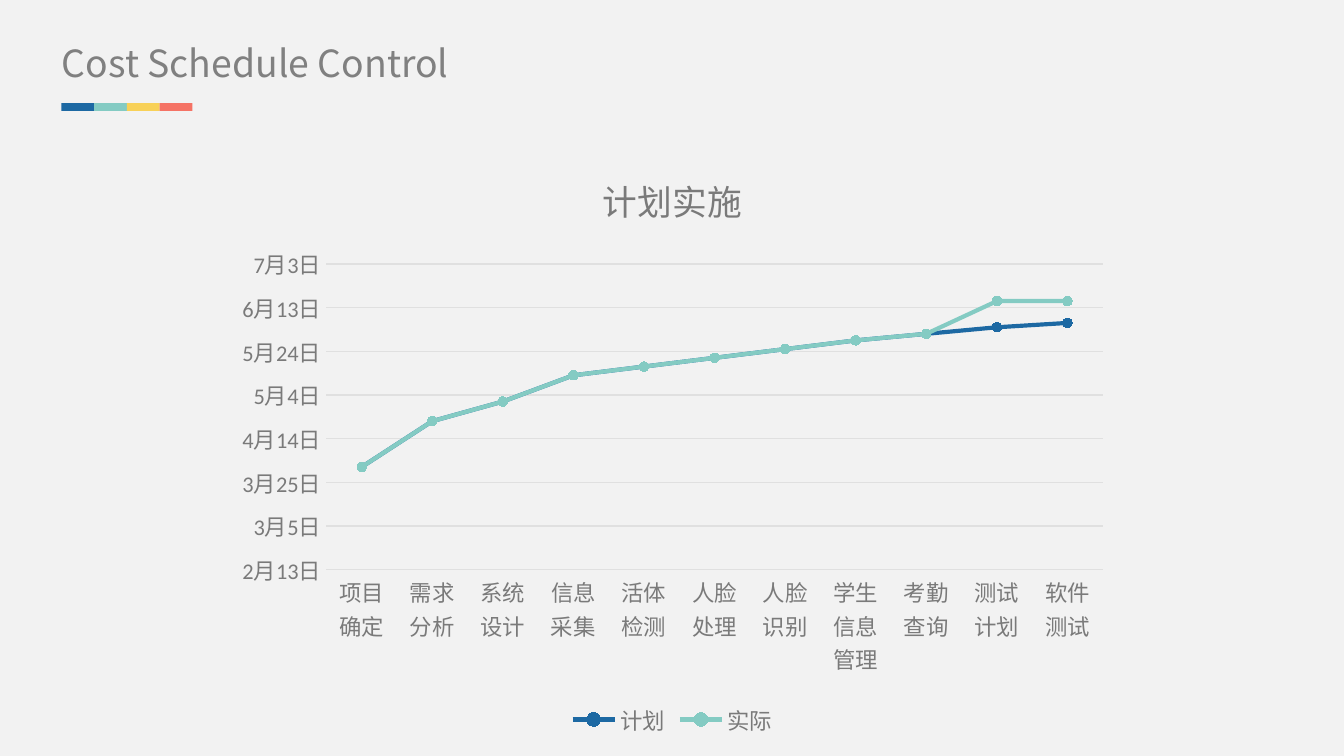
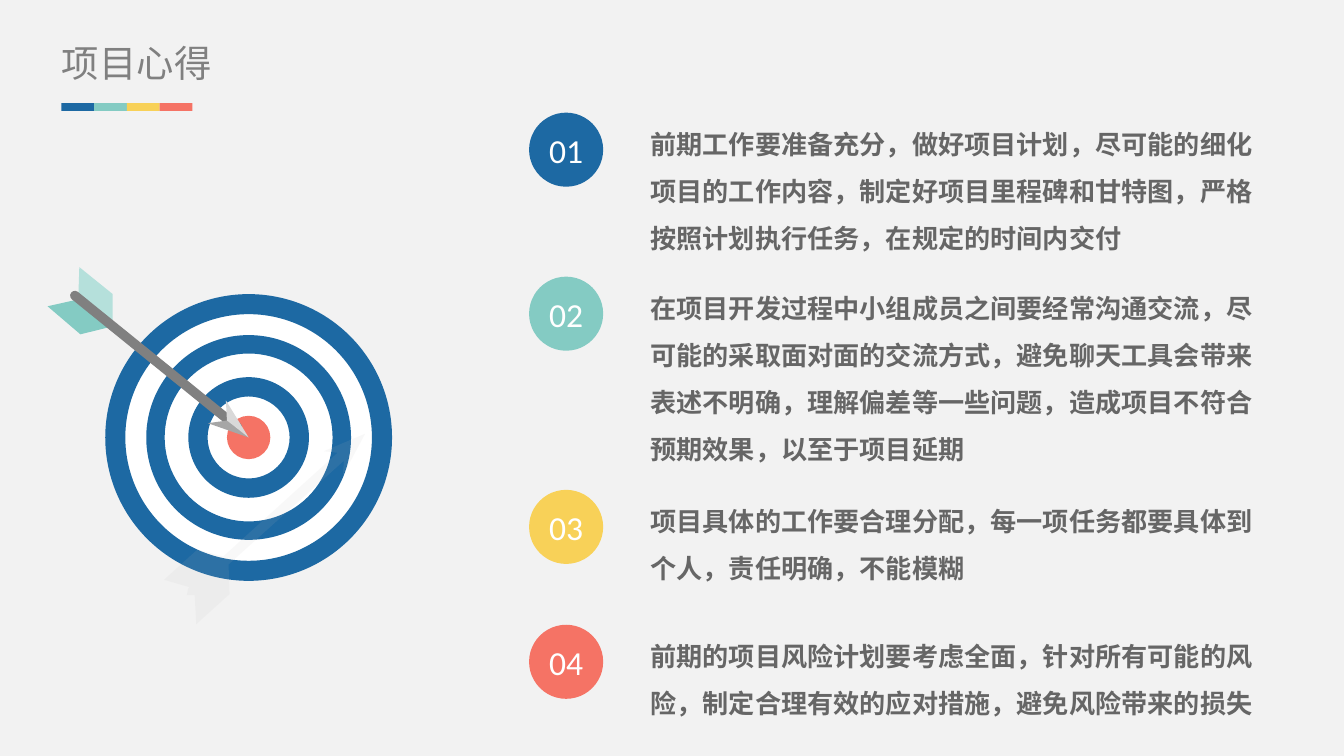
from dataclasses import dataclass

from lxml.etree import SubElement
from pptx import Presentation
from pptx.chart.data import CategoryChartData
from pptx.dml.color import RGBColor
from pptx.enum.chart import XL_CHART_TYPE as CT
from pptx.enum.chart import XL_LEGEND_POSITION as LP
from pptx.enum.chart import XL_MARKER_STYLE as MS
from pptx.enum.chart import XL_TICK_MARK as TM
from pptx.enum.shapes import MSO_SHAPE as SH
from pptx.enum.text import MSO_ANCHOR as MA
from pptx.enum.text import MSO_AUTO_SIZE as AS
from pptx.enum.text import PP_ALIGN as PA
from pptx.oxml.ns import qn
from pptx.util import Cm, Pt


@dataclass(frozen=True)
class Theme:
    accents: tuple = ("1D69A3", "84CBC3", "F8D158", "F57365")
    back: str = "F2F2F2"
    white: str = "FFFFFF"
    title: str = "808080"
    body: str = "666666"
    chart_text: str = "7A7A7A"
    grid: str = "E0E0E0"
    pale_feather: str = "B5E0DB"
    head_dark: str = "A6A6A6"
    head_light: str = "D9D9D9"
    shade: str = "BFBFBF"
    latin: str = "Calibri"
    cjk: str = "Noto Sans CJK SC"
    title_size: float = 20
    number_size: float = 18
    body_size: float = 14
    chart_title_size: float = 18.6
    chart_size: float = 12


T = Theme()

PLAN = {
    "项目确定": 44287, "需求分析": 44308, "系统设计": 44317,
    "信息采集": 44329, "活体检测": 44333, "人脸处理": 44337,
    "人脸识别": 44341, "学生信息管理": 44345, "考勤查询": 44348,
    "测试计划": 44351, "软件测试": 44353,
}
ACTUAL = {**PLAN, "测试计划": 44363, "软件测试": 44363}
DATE_FORMAT = 'm"月"d"日";@'

LESSONS = (
    (2.13, 2.59, "前期工作要准备充分，做好项目计划，尽可能的细化项目的工作内容，"
     "制定好项目里程碑和甘特图，严格按照计划执行任务，在规定的时间内交付"),
    (5.23, 3.48, "在项目开发过程中小组成员之间要经常沟通交流，尽可能的采取面对面的交流方式，"
     "避免聊天工具会带来表述不明确，理解偏差等一些问题，造成项目不符合预期效果，以至于项目延期"),
    (9.26, 1.7, "项目具体的工作要合理分配，每一项任务都要具体到个人，责任明确，不能模糊"),
    (11.81, 1.7, "前期的项目风险计划要考虑全面，针对所有可能的风险，"
     "制定合理有效的应对措施，避免风险带来的损失"),
)

CENTRE = (4.7, 8.27)
RINGS = ((5.42, 0.07), (3.87, 0.09), (2.28, 0.16))
ARROW_PARTS = (
    (T.accents[1], ((2.13, 6.17), (1.52, 6.32), (0.9, 5.79), (1.48, 5.66))),
    (T.pale_feather, ((2.13, 6.17), (2.13, 5.56), (1.5, 5.05), (1.48, 5.66))),
    (T.head_dark, ((3.93, 8), CENTRE, (4.29, 7.95))),
    (T.head_light, ((4.29, 7.95), CENTRE, (4.27, 7.57))),
)
ARROW_SHADE = (
    (6.9, 8.2), (6.48, 8.99), (6.5, 8.71), (4.32, 10.67), (4.34, 11.23),
    (3.71, 11.8), (3.68, 11.25), (3.53, 11.25), (3.56, 11.12), (3.58, 11.1),
    (3.1, 10.96), (3.73, 10.39), (4.22, 10.52), (6.38, 8.56), (6.12, 8.53),
)


def rgb(value):
    return RGBColor.from_string(value)


def apply(target, values):
    for name, value in values.items():
        setattr(target, name, value)


def set_font(font, size, color, name=T.latin, bold=False):
    font.color.rgb = rgb(color)
    apply(font, {"size": Pt(size), "name": name, "bold": bold})


def write(tf, text, size, color, name=T.latin, bold=False, align=PA.LEFT, anchor=MA.TOP):
    apply(tf, {"margin_left": 0, "margin_right": 0, "margin_top": 0, "margin_bottom": 0,
               "word_wrap": True, "auto_size": AS.NONE, "vertical_anchor": anchor})
    p = tf.paragraphs[0]
    p.alignment = align
    r = p.add_run()
    r.text = text
    set_font(r.font, size, color, name, bold)
    SubElement(r._r.get_or_add_rPr(), qn("a:ea"), typeface=T.cjk)
    return p


def place(sp, left, top, width, height):
    apply(sp, {"left": Cm(left), "top": Cm(top), "width": Cm(width), "height": Cm(height)})


def paint(sp, color):
    sp.shadow.inherit = False
    sp.fill.solid()
    sp.fill.fore_color.rgb = rgb(color)
    sp.line.fill.background()
    return sp


def add_preset(shapes, kind, left, top, width, height, color):
    return paint(shapes.add_shape(kind, Cm(left), Cm(top), Cm(width), Cm(height)), color)


def add_centred(shapes, kind, centre, width, height, color):
    x, y = centre
    return add_preset(shapes, kind, x - width / 2, y - height / 2, width, height, color)


def add_polygon(shapes, points, color):
    corners = [(Cm(x), Cm(y)) for x, y in points]
    builder = shapes.build_freeform(*corners[0])
    builder.add_line_segments(corners[1:], close=True)
    return paint(builder.convert_to_shape(), color)


def add_slide(prs, layout, title):
    s = prs.slides.add_slide(prs.slide_layouts.get_by_name(layout))
    place(s.shapes.title, 1.17, 0.76, 7.72, 0.86)
    write(s.shapes.title.text_frame, title, T.title_size, T.title, T.cjk)
    band = s.shapes.add_group_shape().shapes
    for i, color in enumerate(T.accents):
        add_preset(band, SH.RECTANGLE, 1.16 + 0.62 * i, 1.95, 0.62, 0.15, color)
    return s


def format_line(line, color, width):
    line.color.rgb = rgb(color)
    line.width = Pt(width)


def add_schedule_chart(s):
    data = CategoryChartData(number_format=DATE_FORMAT)
    data.categories = list(PLAN)
    data.add_series("计划", PLAN.values())
    data.add_series("实际", ACTUAL.values())
    chart = s.shapes.add_chart(CT.LINE_MARKERS, Cm(4.24), Cm(2.74), Cm(16.94), Cm(11.28),
                               data).chart
    set_font(chart.font, T.chart_size, T.chart_text)

    chart.has_title = True
    r = chart.chart_title.text_frame.paragraphs[0].add_run()
    r.text = "计划实施"
    set_font(r.font, T.chart_title_size, T.chart_text)

    chart.has_legend = True
    apply(chart.legend, {"position": LP.BOTTOM, "include_in_layout": False})
    set_font(chart.legend.font, T.chart_size, T.chart_text)

    for axis in (chart.category_axis, chart.value_axis):
        apply(axis, {"major_tick_mark": TM.NONE, "minor_tick_mark": TM.NONE})
        set_font(axis.tick_labels.font, T.chart_size, T.chart_text)
    format_line(chart.category_axis.format.line, T.grid, 0.75)
    dates = chart.value_axis
    apply(dates, {"minimum_scale": 44240, "maximum_scale": 44380, "major_unit": 20})
    apply(dates.tick_labels, {"number_format": DATE_FORMAT, "number_format_is_linked": False})
    dates.format.line.fill.background()
    format_line(dates.major_gridlines.format.line, T.grid, 0.75)

    plot = chart.plots[0]
    plot.vary_by_categories = False
    for series, color in zip(plot.series, T.accents):
        series.smooth = False
        format_line(series.format.line, color, 2.25)
        marker = series.marker
        apply(marker, {"style": MS.CIRCLE, "size": 5})
        marker.format.fill.solid()
        marker.format.fill.fore_color.rgb = rgb(color)
        format_line(marker.format.line, color, 0.75)


def add_target(s):
    board = s.shapes.add_group_shape().shapes
    add_centred(board, SH.OVAL, CENTRE, 5.36, 5.36, T.white)
    add_centred(board, SH.OVAL, CENTRE, 0.82, 0.82, T.accents[3])
    for size, thickness in RINGS:
        ring = add_centred(board, SH.DONUT, CENTRE, size, size, T.accents[0])
        ring.adjustments[0] = thickness


def add_arrow(s):
    arrow = s.shapes.add_group_shape().shapes
    for color, points in ARROW_PARTS[:2]:
        add_polygon(arrow, points, color)
    shaft = add_centred(arrow, SH.ROUNDED_RECTANGLE, (2.95, 6.83), 4.13, 0.18, T.title)
    shaft.adjustments[0] = 0.5
    shaft.rotation = 39
    for color, points in ARROW_PARTS[2:]:
        add_polygon(arrow, points, color)
    shade = add_polygon(s.shapes, ARROW_SHADE, T.shade)
    tint = shade.fill._xPr.find(qn("a:solidFill"))[0]
    SubElement(tint, qn("a:alpha"), val="10000")


def add_lesson(s, body, number, color, top, height, text):
    place(body, 12.29, top, 11.81, height)
    p = write(body.text_frame, text, T.body_size, T.body, bold=True)
    apply(p, {"line_spacing": 1.5, "space_before": Pt(3)})
    pPr = p._p.get_or_add_pPr()
    pPr.set("marL", "0")
    pPr.set("indent", "0")
    SubElement(pPr, qn("a:buNone"))
    badge = add_preset(s.shapes, SH.OVAL, 10, top, 1.4, 1.4, color)
    write(badge.text_frame, f"{number:02}", T.number_size, T.white,
          align=PA.CENTER, anchor=MA.MIDDLE)


def main():
    prs = Presentation()
    apply(prs, {"slide_width": Cm(25.4), "slide_height": Cm(14.29)})
    back = prs.slide_master.background.fill
    back.solid()
    back.fore_color.rgb = rgb(T.back)

    add_schedule_chart(add_slide(prs, "Title Only", "Cost Schedule Control"))

    s = add_slide(prs, "Comparison", "项目心得")
    add_target(s)
    add_arrow(s)
    bodies = list(s.placeholders)[1:]
    for i, (body, color, lesson) in enumerate(zip(bodies, T.accents, LESSONS), 1):
        add_lesson(s, body, i, color, *lesson)

    prs.save("out.pptx")


if __name__ == "__main__":
    main()
